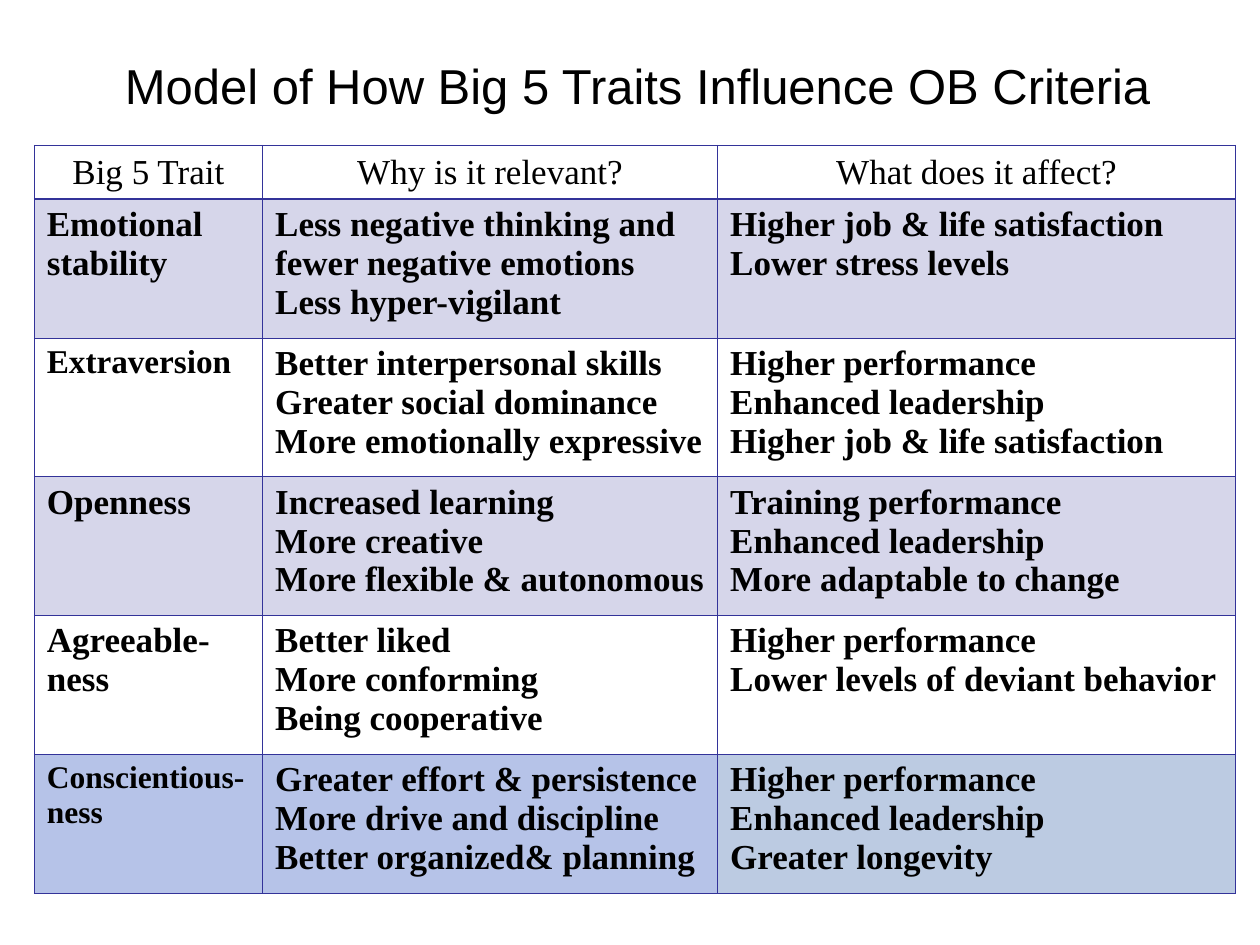
from lxml.etree import SubElement
from pptx import Presentation
from pptx.dml.color import RGBColor
from pptx.enum.text import MSO_ANCHOR as ANCHOR, PP_ALIGN as ALIGN
from pptx.oxml.ns import qn
from pptx.util import Pt

BLACK = RGBColor(0x00, 0x00, 0x00)
INDIGO = RGBColor(0x33, 0x33, 0x99)
PERIWINKLE = RGBColor(0xB6, 0xC3, 0xE8)
STEEL = RGBColor(0xBC, 0xCB, 0xE2)

HEADERS = ["Big 5 Trait", "Why is it relevant?", "What does it affect?"]
# Trait, trait text size, reasons, effects
TRAITS = [
    ("Emotional stability", 20,
     ["Less negative thinking and fewer negative emotions", "Less hyper-vigilant"],
     ["Higher job & life satisfaction", "Lower stress levels"]),
    ("Extraversion", 19,
     ["Better interpersonal skills", "Greater social dominance",
      "More emotionally expressive"],
     ["Higher performance", "Enhanced leadership", "Higher job & life satisfaction"]),
    ("Openness", 20,
     ["Increased learning", "More creative", "More flexible & autonomous"],
     ["Training performance", "Enhanced leadership", "More adaptable to change"]),
    ("Agreeable-ness", 20,
     ["Better liked", "More conforming", "Being cooperative"],
     ["Higher performance", "Lower levels of deviant behavior"]),
    ("Conscientious-ness", 18,
     ["Greater effort & persistence", "More drive and discipline",
      "Better organized& planning"],
     ["Higher performance", "Enhanced leadership", "Greater longevity"]),
]
COL_WIDTHS = [130.5, 260, 296]
HEADER_HEIGHT, TRAIT_HEIGHT = 30.8, 79.3
THIN, HEADER_RULE = 0.45, 0.96


class TraitSlide:
    title_font = {"name": "Arial", "size": Pt(28), "bold": False}
    header_font = {"name": "Times New Roman", "size": Pt(20), "bold": False}
    trait_font = {"name": "Times New Roman", "size": Pt(20), "bold": True}

    def __init__(self, prs):
        self.s = prs.slides.add_slide(prs.slide_layouts[5])

    def put_text(self, tf, lines, font, align):
        tf.text = "\n".join(lines)
        for p in tf.paragraphs:
            p.alignment = align
            for r in p.runs:
                for key, value in font.items():
                    setattr(r.font, key, value)
                r.font.color.rgb = BLACK

    def title(self, text, left, top, width, height):
        sp = self.s.shapes.title
        sp.left, sp.top, sp.width, sp.height = map(Pt, (left, top, width, height))
        tf = sp.text_frame
        tf.margin_left = Pt(14.4)
        tf.vertical_anchor = ANCHOR.MIDDLE
        self.put_text(tf, [text], self.title_font, ALIGN.CENTER)

    def table(self, left, top, col_widths, row_heights):
        frame = self.s.shapes.add_table(
            len(row_heights), len(col_widths), Pt(left), Pt(top),
            Pt(sum(col_widths)), Pt(sum(row_heights)))
        table = frame.table
        table.first_row = table.horz_banding = False
        for col, width in zip(table.columns, col_widths):
            col.width = Pt(width)
        for row, height in zip(table.rows, row_heights):
            row.height = Pt(height)
        return table

    def borders(self, cell, **widths):
        tc_pr = cell._tc.get_or_add_tcPr()
        for side in "LRTB":
            ln = SubElement(tc_pr, qn(f"a:ln{side}"),
                            w=str(Pt(widths.get(side, THIN))))
            fill = SubElement(ln, qn("a:solidFill"))
            SubElement(fill, qn("a:srgbClr"), val=str(INDIGO))

    def fill(self, cell, color, opacity=100):
        if color is None:
            cell.fill.background()
            return
        cell.fill.solid()
        cell.fill.fore_color.rgb = color
        if opacity < 100:
            clr = cell._tc.tcPr.find(qn("a:solidFill")).find(qn("a:srgbClr"))
            SubElement(clr, qn("a:alpha"), val=str(opacity * 1000))

    def header_cell(self, cell, text):
        self.borders(cell, B=HEADER_RULE)
        self.fill(cell, None)
        cell.vertical_anchor = ANCHOR.MIDDLE
        self.put_text(cell.text_frame, [text], self.header_font, ALIGN.CENTER)

    def trait_cell(self, cell, lines, size, color, opacity, top_rule):
        self.borders(cell, T=top_rule)
        self.fill(cell, color, opacity)
        font = {**self.trait_font, "size": Pt(size)}
        self.put_text(cell.text_frame, lines, font, ALIGN.LEFT)


def main():
    prs = Presentation()
    prs.slide_width, prs.slide_height = Pt(720), Pt(540)
    slide = TraitSlide(prs)

    # Title
    slide.title("Model of How Big 5 Traits Influence OB Criteria", 36.7, 15.1, 648, 67)

    # Table grid and header row
    heights = [HEADER_HEIGHT] + [TRAIT_HEIGHT] * len(TRAITS)
    table = slide.table(19.6, 83, COL_WIDTHS, heights)
    for col, text in enumerate(HEADERS):
        slide.header_cell(table.cell(0, col), text)

    # Trait rows: alternate tint, last row highlighted
    for row, (trait, size, reasons, effects) in enumerate(TRAITS, 1):
        if row == len(TRAITS):
            colors, opacity = [PERIWINKLE, PERIWINKLE, STEEL], 100
        else:
            colors, opacity = [INDIGO if row % 2 else None] * 3, 20
        rule = HEADER_RULE if row == 1 else THIN
        columns = [([trait], size), (reasons, 20), (effects, 20)]
        for col, (lines, pts) in enumerate(columns):
            slide.trait_cell(table.cell(row, col), lines, pts, colors[col], opacity, rule)

    prs.save("out.pptx")


if __name__ == "__main__":
    main()
